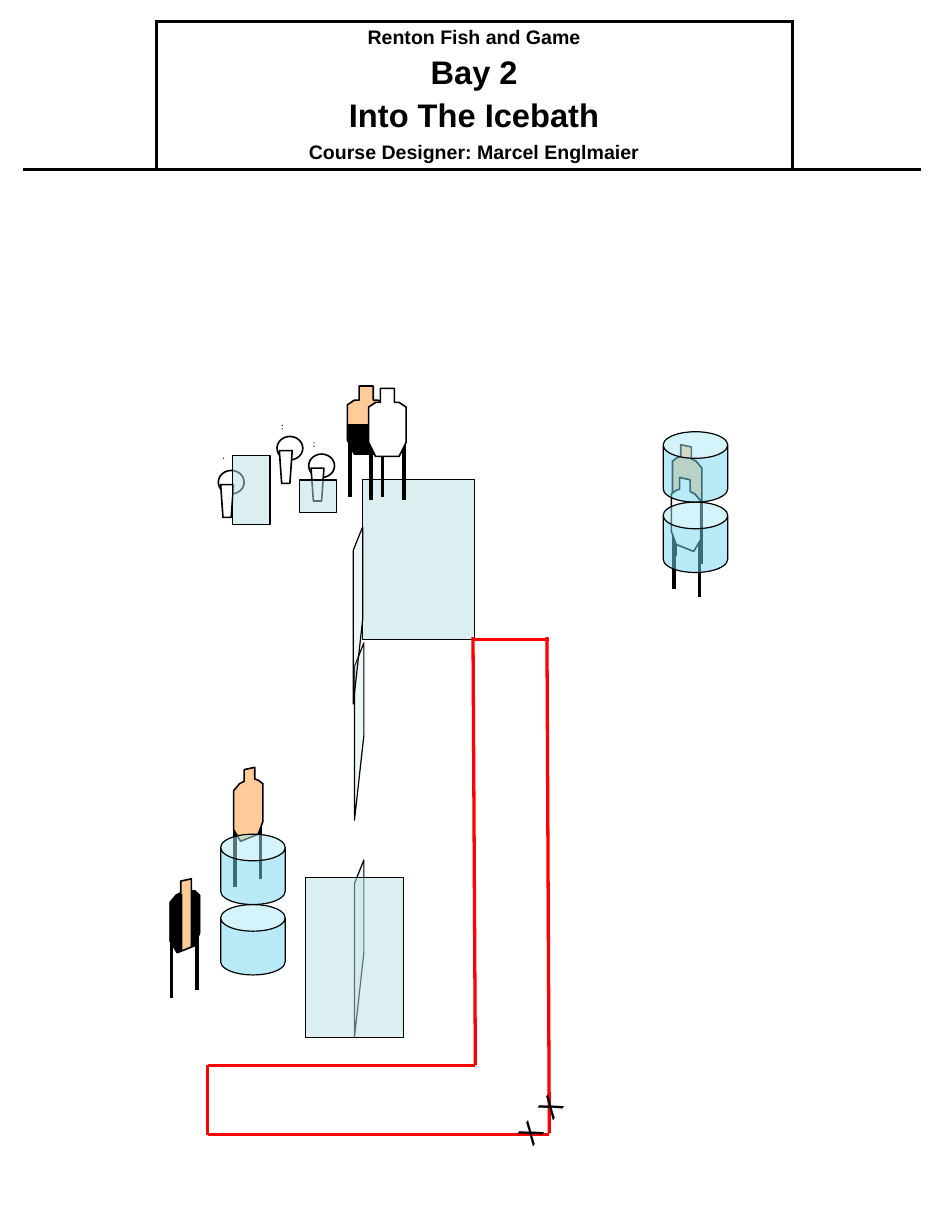
from dataclasses import dataclass

from lxml import etree
from pptx import Presentation
from pptx.dml.color import RGBColor
from pptx.enum.shapes import MSO_CONNECTOR, MSO_SHAPE
from pptx.enum.text import MSO_ANCHOR, MSO_AUTO_SIZE, PP_ALIGN
from pptx.oxml.ns import qn
from pptx.shapes.autoshape import Shape
from pptx.slide import Slide
from pptx.util import Inches, Pt

CAN, ELLIPSE = MSO_SHAPE.CAN, MSO_SHAPE.OVAL
STRAIGHT = MSO_CONNECTOR.STRAIGHT
CENTER, MIDDLE = PP_ALIGN.CENTER, MSO_ANCHOR.MIDDLE
FIT_SHAPE = MSO_AUTO_SIZE.SHAPE_TO_FIT_TEXT

BLACK, WHITE, RED = "000000", "FFFFFF", "FF0000"
TAN, GLASS, WATER = "FFCC99", "BBE0E3", "73D9F1"
FONT = "Arial"
Points = list[tuple[float, float]]


@dataclass(frozen=True)
class Silhouette:
    """Outline and leg tops, relative to the top left corner of a target."""
    width: float
    outline: Points
    legs: Points


@dataclass(frozen=True)
class Target:
    left: float
    top: float
    silhouette: Silhouette
    colour: str = TAN
    mirrored: bool = False
    covers: tuple[Points, ...] = ()


@dataclass(frozen=True)
class Plate:
    left: float
    top: float
    dots: tuple[float, ...]


ANGLED = Silhouette(
    0.25,
    [(0.09, 0.02), (0.18, 0), (0.18, 0.1), (0.21, 0.11), (0.25, 0.14), (0.25, 0.46),
     (0.21, 0.57), (0.06, 0.63), (0, 0.53), (0, 0.2), (0.05, 0.14), (0.09, 0.12)],
    [(0.01, 0.5), (0.23, 0.43)])
FACING = Silhouette(
    0.32,
    [(0.1, 0), (0.22, 0), (0.22, 0.12), (0.26, 0.12), (0.32, 0.16), (0.32, 0.46),
     (0.26, 0.58), (0.06, 0.58), (0, 0.46), (0, 0.16), (0.06, 0.12), (0.1, 0.12)],
    [(0.02, 0.43), (0.3, 0.43)])
LEG_LENGTH = 0.52

LOWER_HALF = [(0, 0.33), (0.32, 0.33), (0.32, 0.46), (0.26, 0.58), (0.06, 0.58), (0, 0.46)]
LEFT_SIDE = [(0, 0.53), (0.06, 0.62), (0.1, 0.61), (0.1, 0.13), (0.06, 0.14), (0, 0.21)]
RIGHT_SIDE = [(0.18, 0.11), (0.21, 0.1), (0.25, 0.14), (0.25, 0.46), (0.22, 0.56), (0.18, 0.58)]
SCREEN = [(0.08, 0.79), (0, 1.51), (0, 0.2), (0.08, 0)]
POPPER = [(0.02, 0.12), (0.13, 0.12), (0.11, 0.4), (0.04, 0.4)]

FAULT_LINES = [
    ((4.68, 9.66), (4.66, 5.43)),
    ((4.68, 9.67), (1.77, 9.67)),
    ((1.77, 9.67), (1.77, 9.08)),
    ((4.05, 9.08), (1.77, 9.08)),
    ((4.68, 5.45), (4.03, 5.45)),
    ((4.05, 9.08), (4.03, 5.43)),
]
TITLE_COLUMNS = [(1.14, "RB"), (5.42, "LRTB"), (1.1, "LB")]
TITLE_LINES = [
    ("Renton Fish and Game", 12, 0),
    ("Bay 2", 20, 4),
    ("Into The Icebath", 20, 4),
    ("Course Designer: Marcel Englmaier", 12, 4.2),
]


def rgb(colour: str) -> RGBColor:
    return RGBColor.from_string(colour)


def style(shape: Shape, fill: str, opacity: int = 100, line_width: float = 0.75) -> None:
    shape.shadow.inherit = False
    shape.fill.solid()
    shape.fill.fore_color.rgb = rgb(fill)
    if opacity < 100:
        solid = shape._element.spPr.find(qn("a:solidFill"))
        etree.SubElement(solid[0], qn("a:alpha"), val=str(opacity * 1000))
    shape.line.color.rgb = rgb(BLACK)
    shape.line.width = Pt(line_width)


def draw_line(page: Slide, start: tuple, end: tuple, colour: str, width: float) -> None:
    line = page.shapes.add_connector(STRAIGHT, *map(Inches, (*start, *end)))
    line.line.color.rgb = rgb(colour)
    line.line.width = Pt(width)
    etree.SubElement(line._element.spPr, qn("a:effectLst"))


def draw_outline(page: Slide, left: float, top: float, points: Points, fill: str,
                 opacity: int = 100, line_width: float = 0.75) -> None:
    """Draw a closed polygon from points given relative to left and top."""
    corners = [(round((left + x) * 100), round((top + y) * 100)) for x, y in points]
    builder = page.shapes.build_freeform(*corners[0], scale=Inches(0.01))
    builder.add_line_segments(corners[1:], close=True)
    style(builder.convert_to_shape(), fill, opacity, line_width)


def draw_panel(page: Slide, left: float, top: float, width: float, height: float) -> None:
    draw_outline(page, left, top, [(width, height), (0, height), (0, 0), (width, 0)], GLASS, 50)


def draw_screen(page: Slide, left: float, top: float) -> None:
    draw_outline(page, left, top, SCREEN, GLASS, 25)


def draw_target(page: Slide, target: Target) -> None:
    def turn(points: Points) -> Points:
        width = target.silhouette.width
        return [(width - x, y) for x, y in points] if target.mirrored else points

    for x, y in turn(target.silhouette.legs):
        foot_x, leg_top = target.left + x, target.top + y
        draw_line(page, (foot_x, leg_top), (foot_x, leg_top + LEG_LENGTH), BLACK, 2.25)
    draw_outline(page, target.left, target.top, turn(target.silhouette.outline),
                 target.colour, line_width=1)
    for cover in target.covers:
        draw_outline(page, target.left, target.top, cover, BLACK)


def draw_plate(page: Slide, plate: Plate) -> None:
    disc = page.shapes.add_shape(ELLIPSE, *map(Inches, (plate.left, plate.top, 0.22, 0.2)))
    style(disc, WHITE, line_width=1)
    draw_outline(page, plate.left, plate.top, POPPER, WHITE, line_width=1)
    for rise in plate.dots:
        place = (plate.left + 0.04, plate.top - rise, 0.01, 0.01)
        dot = page.shapes.add_shape(ELLIPSE, *map(Inches, place))
        style(dot, BLACK)
        dot.line.fill.background()


def draw_barrels(page: Slide, left: float, top: float) -> None:
    """Stack two barrels, the upper one in front."""
    for barrel_top in (top + 0.6, top):
        barrel = page.shapes.add_shape(CAN, *map(Inches, (left, barrel_top, 0.55, 0.6)))
        barrel.adjustments[0] = 0.413
        style(barrel, WATER, 50)


def draw_start_mark(page: Slide, left: float, top: float) -> None:
    box = page.shapes.add_textbox(*map(Inches, (left, top, 0.31, 0.4)))
    box.rotation = 308.2
    box.text_frame.word_wrap = False
    box.text_frame.auto_size = FIT_SHAPE
    para = box.text_frame.paragraphs[0]
    para.text = "X"
    para.font.name, para.font.size = FONT, Pt(18)
    para.font.color.rgb = rgb(BLACK)


def draw_title(page: Slide) -> None:
    frame = page.shapes.add_table(1, 3, *map(Inches, (0.19, 0.18, 7.66, 1.08)))
    table = frame.table
    table.first_row = table.horz_banding = False
    for index, (width, sides) in enumerate(TITLE_COLUMNS):
        table.columns[index].width = Inches(width)
        cell = table.cell(0, index)
        properties = cell._tc.get_or_add_tcPr()
        for side in sides:
            border = etree.SubElement(properties, qn(f"a:ln{side}"), w=str(int(Pt(2.25))))
            solid = etree.SubElement(border, qn("a:solidFill"))
            etree.SubElement(solid, qn("a:srgbClr"), val=BLACK)
        cell.fill.solid()
        cell.fill.fore_color.rgb = rgb(WHITE)

    title = table.cell(0, 1)
    title.vertical_anchor = MIDDLE
    title.margin_left = title.margin_right = Inches(0.05)
    title.margin_top = title.margin_bottom = Inches(0.05)
    title.text = "\n".join(text for text, _, _ in TITLE_LINES)
    for para, (_, size, space) in zip(title.text_frame.paragraphs, TITLE_LINES):
        para.alignment = CENTER
        para.space_before = Pt(space)
        para.font.name, para.font.size, para.font.bold = FONT, Pt(size), True
        para.font.color.rgb = rgb(BLACK)


def main() -> None:
    deck = Presentation()
    deck.slide_width, deck.slide_height = Inches(8), Inches(10.5)
    page = deck.slides.add_slide(deck.slide_layouts[6])

    draw_title(page)
    draw_screen(page, 3.02, 7.33)
    draw_panel(page, 3.09, 4.09, 0.95, 1.36)
    draw_panel(page, 2.6, 7.48, 0.84, 1.36)
    for start, end in FAULT_LINES:
        draw_line(page, start, end, RED, 2)
    draw_start_mark(page, 4.34, 9.47)
    draw_start_mark(page, 4.51, 9.25)

    draw_plate(page, Plate(1.86, 4.01, (0.11,)))
    draw_target(page, Target(1.45, 7.49, ANGLED, covers=(LEFT_SIDE, RIGHT_SIDE)))
    draw_panel(page, 1.98, 3.88, 0.32, 0.59)
    draw_plate(page, Plate(2.36, 3.72, (0.1, 0.07)))
    draw_plate(page, Plate(2.63, 3.87, (0.1, 0.07)))
    draw_panel(page, 2.55, 4.09, 0.32, 0.28)

    draw_target(page, Target(1.99, 6.54, ANGLED))
    draw_barrels(page, 1.88, 7.11)
    draw_target(page, Target(5.73, 3.79, ANGLED, mirrored=True))
    draw_target(page, Target(5.72, 4.07, ANGLED, WHITE, mirrored=True))
    draw_barrels(page, 5.65, 3.68)

    draw_screen(page, 3.02, 5.48)
    draw_screen(page, 3.01, 4.49)
    draw_target(page, Target(2.96, 3.29, FACING, covers=(LOWER_HALF,)))
    draw_target(page, Target(3.14, 3.31, FACING, WHITE))
    deck.save("out.pptx")


if __name__ == "__main__":
    main()
